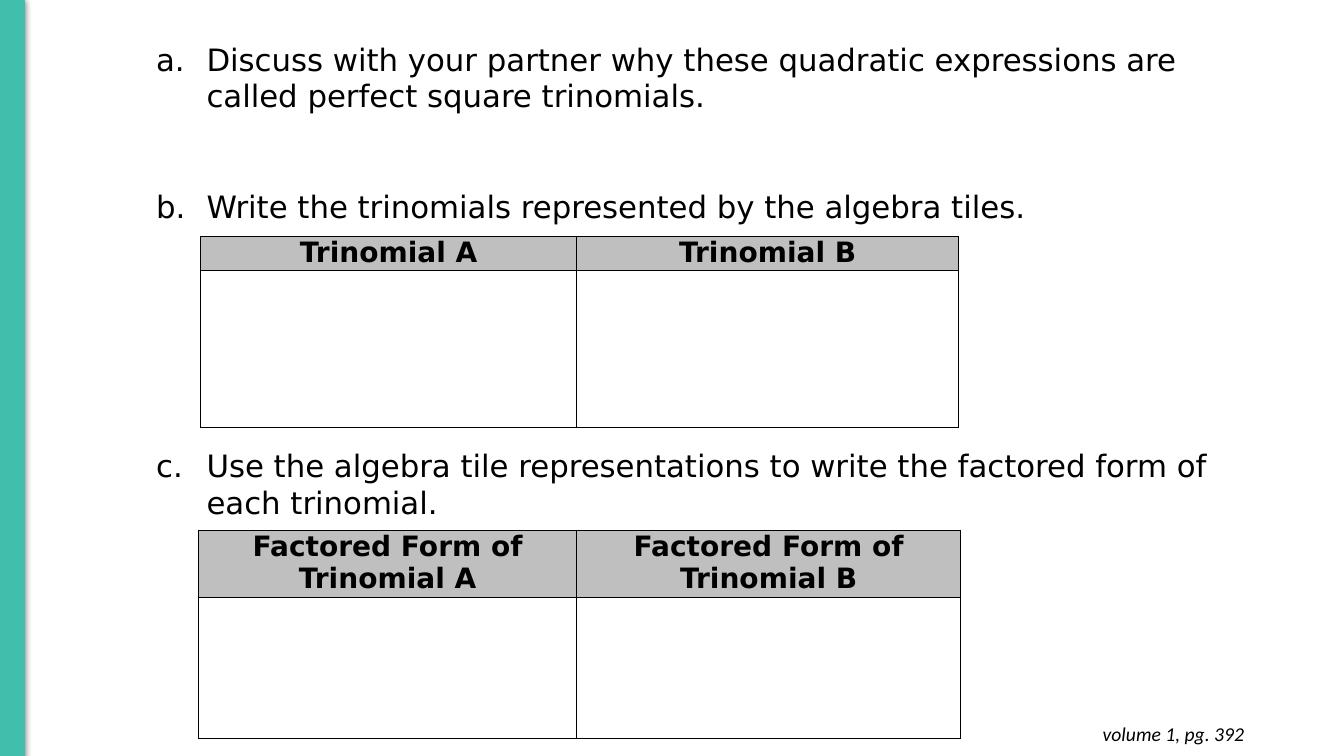
"""Build a slide on perfect square trinomials with two answer tables."""
from lxml.etree import SubElement
from pptx import Presentation
from pptx.dml.color import RGBColor
from pptx.enum.shapes import MSO_SHAPE
from pptx.enum.text import MSO_AUTO_SIZE, PP_ALIGN
from pptx.oxml import parse_xml
from pptx.oxml.ns import qn
from pptx.util import Inches, Pt

COLORS = {"ink": "000000", "teal": "41BFAC", "header": "BFBFBF"}
NS = 'xmlns:a="http://schemas.openxmlformats.org/drawingml/2006/main"'

deck = Presentation()
deck.slide_width, deck.slide_height = Inches(13.33), Inches(7.5)
slide = deck.slides.add_slide(deck.slide_layouts[6])
col, row = deck.slide_width / 100, deck.slide_height / 100


def write(paragraph, text, size=22, face="DejaVu Sans", bold=False,
          italic=False, align=PP_ALIGN.LEFT):
    paragraph.alignment = align
    run = paragraph.add_run()
    run.text = text
    run.font.size, run.font.name = Pt(size), face
    run.font.bold, run.font.italic = bold, italic
    run.font.color.rgb = RGBColor.from_string(COLORS["ink"])


def add_frame(left, top, width, height):
    box = slide.shapes.add_textbox(int(left * col), int(top * row),
                                   int(width * col), int(height * row))
    box.text_frame.word_wrap = True
    box.text_frame.auto_size = MSO_AUTO_SIZE.SHAPE_TO_FIT_TEXT
    return box.text_frame


line_pitch = 26.4
tasks = [
    ("Discuss with your partner why these quadratic expressions are called "
     "perfect square trinomials.", 0),
    ("Write the trinomials represented by the algebra tiles.", 2),
    ("Use the algebra tile representations to write the factored form of "
     "each trinomial.", 6),
]
questions = add_frame(7.13, 4.67, 84.4, 65.47)
for index, (task, lines_above) in enumerate(tasks):
    question = questions.add_paragraph() if index else questions.paragraphs[0]
    props = question._p.get_or_add_pPr()
    props.set("marL", str(Inches(1)))
    props.set("indent", str(Inches(-0.5)))
    bullet_color = SubElement(props, qn("a:buClr"))
    SubElement(bullet_color, qn("a:srgbClr")).set("val", COLORS["ink"])
    SubElement(props, qn("a:buFont")).set("typeface", "+mj-lt")
    SubElement(props, qn("a:buAutoNum")).set("type", "alphaLcPeriod")
    if lines_above:
        question.space_before = Pt(lines_above * line_pitch)
    write(question, task)

side_bar = slide.shapes.add_shape(MSO_SHAPE.RECTANGLE, 0, int(-0.13 * row),
                                  int(1.8 * col), int(100.13 * row))
side_bar.fill.solid()
side_bar.fill.fore_color.rgb = RGBColor.from_string(COLORS["teal"])
side_bar.line.color.rgb = RGBColor.from_string(COLORS["teal"])
side_bar.line.width = Pt(0.75)
side_bar.shadow.inherit = False
glow = side_bar._element.spPr.find(qn("a:effectLst"))
glow.append(parse_xml(
    f'<a:outerShdw {NS} blurRad="{Pt(4.5)}" dist="{Pt(1.5)}" dir="5400000" '
    f'rotWithShape="0"><a:srgbClr val="{COLORS["ink"]}">'
    '<a:alpha val="50000"/></a:srgbClr></a:outerShdw>'))

answer_grids = [
    ("Trinomial", 14.93, 31.33, (27.98, 28.43), (4.4, 20.8)),
    ("Factored Form of Trinomial", 14.78, 70.13, (28.13, 28.58), (8.93, 18.67)),
]
for heading, left, top, widths, heights in answer_grids:
    answers = slide.shapes.add_table(
        2, 2, int(left * col), int(top * row),
        int(sum(widths) * col), int(sum(heights) * row)).table
    answers.first_row = answers.horz_banding = False
    for index in range(2):
        answers.columns[index].width = int(widths[index] * col)
        answers.rows[index].height = int(heights[index] * row)
        header = answers.cell(0, index)
        header.margin_left = header.margin_right = Inches(0.07)
        header.margin_top = header.margin_bottom = 0
        header.fill.solid()
        header.fill.fore_color.rgb = RGBColor.from_string(COLORS["header"])
        write(header.text_frame.paragraphs[0], f"{heading} {'AB'[index]}",
              size=20, bold=True, align=PP_ALIGN.CENTER)
        answers.cell(1, index).fill.background()
    for cell in answers.iter_cells():
        for place, edge in enumerate(("lnL", "lnR", "lnT", "lnB")):
            cell._tc.get_or_add_tcPr().insert(place, parse_xml(
                f'<a:{edge} {NS} w="{Pt(1)}"><a:solidFill><a:srgbClr '
                f'val="{COLORS["ink"]}"/></a:solidFill></a:{edge}>'))

page_reference = add_frame(71.72, 94.13, 21.6, 5.87)
page_reference.margin_top = page_reference.margin_bottom = Inches(0.1)
write(page_reference.paragraphs[0], "volume 1, pg. 392", size=14,
      face="Calibri", italic=True, align=PP_ALIGN.RIGHT)

deck.save("out.pptx")
